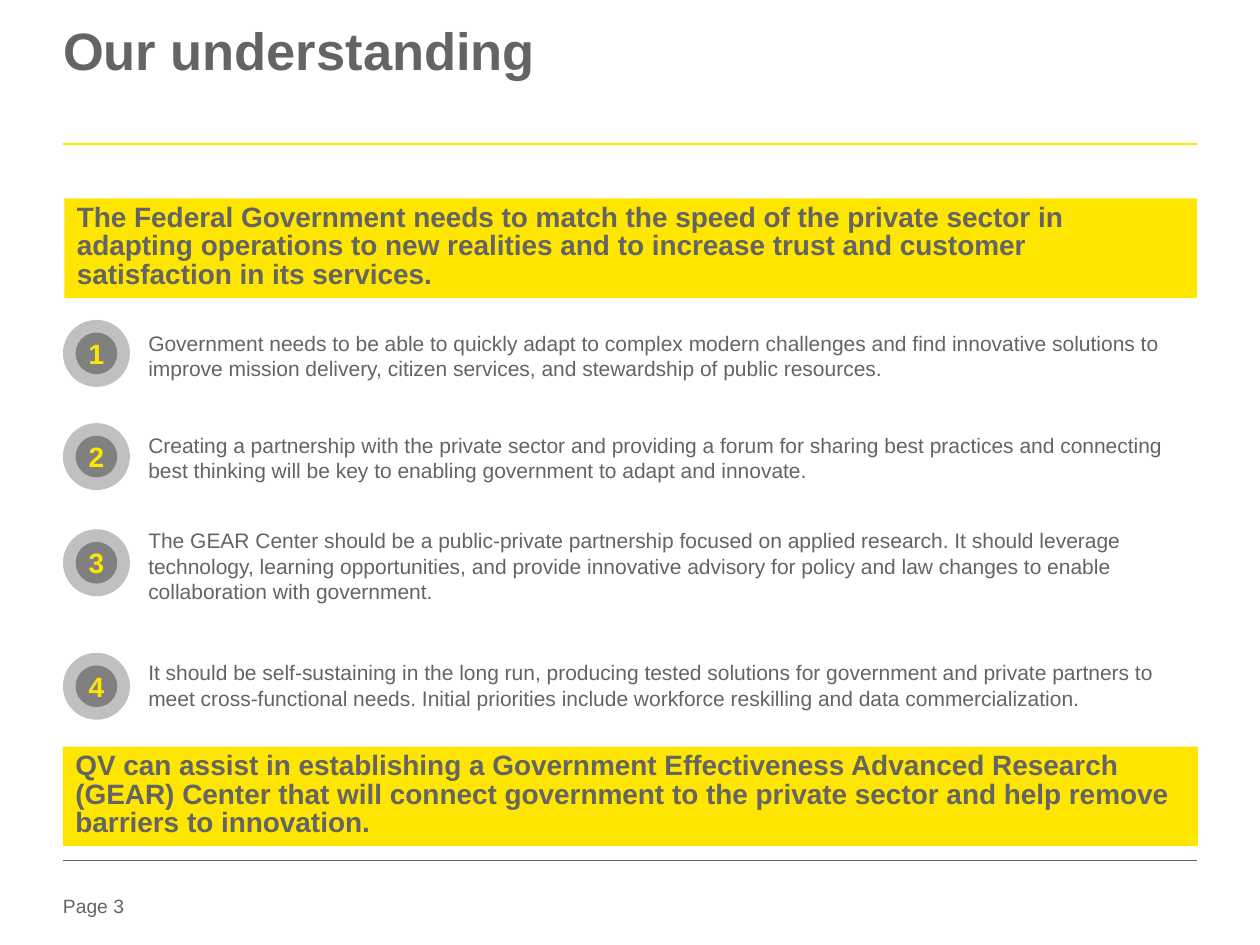
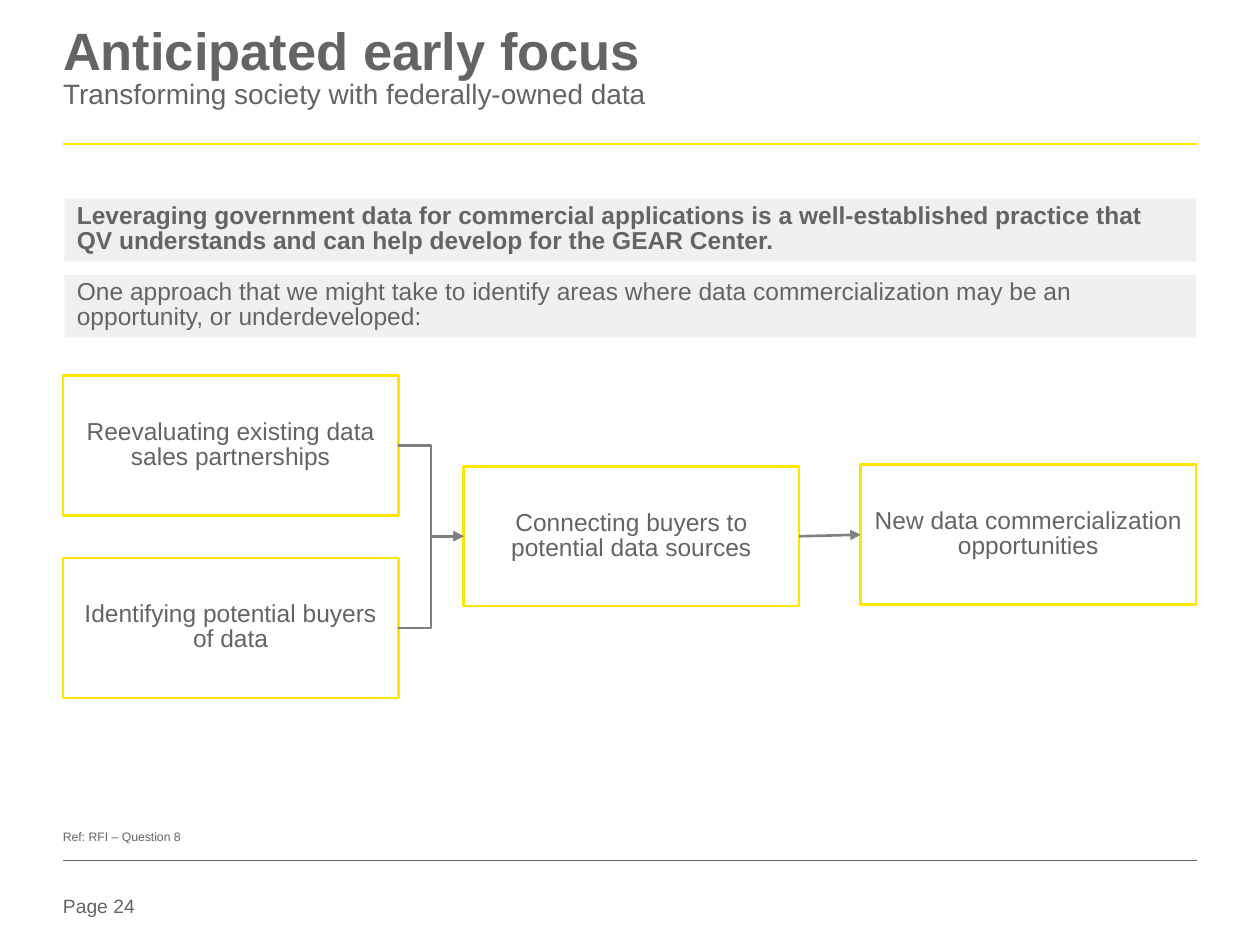
from pptx import Presentation
from pptx.dml.color import RGBColor
from pptx.enum.shapes import MSO_CONNECTOR, MSO_SHAPE
from pptx.enum.text import MSO_ANCHOR, MSO_AUTO_SIZE, PP_ALIGN
from pptx.oxml.ns import qn
from pptx.util import Cm, Pt
from lxml.etree import SubElement

FONT = "Arial"
COLORS = {
    "text": "646464",
    "yellow": "FFE600",
    "ring": "C0C0C0",
    "disc": "808080",
    "arrow": "808080",
    "panel": "F0F0F0",
}
MARGIN, CONTENT_W = 1.27, 22.86
RING, DISC = 1.35, 0.84
BOX_W, BOX_H = 6.76, 2.82

UNDERSTANDING = {
    "title": "Our understanding",
    "subtitle": "",
    "page": "Page 3",
    "bands": [
        (1.3, 4, 22.83, "The Federal Government needs to match the speed of the private sector in "
         "adapting operations to new realities and to increase trust and customer "
         "satisfaction in its services."),
        (1.27, 15.05, 22.88, "QV can assist in establishing a Government Effectiveness Advanced Research "
         "(GEAR) Center that will connect government to the private sector and help remove "
         "barriers to innovation."),
    ],
    "points": [
        (6.45, 6.53, 1.27, "Government needs to be able to quickly adapt to complex modern challenges and "
         "find innovative solutions to improve mission delivery, citizen services, and "
         "stewardship of public resources."),
        (8.53, 8.59, 1.27, "Creating a partnership with the private sector and providing a forum for "
         "sharing best practices and connecting best thinking will be key to enabling "
         "government to adapt and innovate."),
        (10.67, 10.52, 1.8, "The GEAR Center should be a public-private partnership focused on applied "
         "research. It should leverage technology, learning opportunities, and provide "
         "innovative advisory for policy and law changes to enable collaboration with government."),
        (13.16, 13.18, 1.27, "It should be self-sustaining in the long run, producing tested solutions for "
         "government and private partners to meet cross-functional needs. Initial priorities "
         "include workforce reskilling and data commercialization."),
    ],
}
EARLY_FOCUS = {
    "title": "Anticipated early focus",
    "subtitle": "Transforming society with federally-owned data",
    "page": "Page 24",
    "panels": [
        (4, True, "Leveraging government data for commercial applications is a well-established "
         "practice that QV understands and can help develop for the GEAR Center."),
        (5.54, False, "One approach that we might take to identify areas where data "
         "commercialization may be an opportunity, or underdeveloped:"),
    ],
    "boxes": {
        "connect": (9.35, 9.4, "Connecting buyers to potential data sources"),
        "identify": (1.27, 11.25, "Identifying potential buyers of data"),
        "reevaluate": (1.27, 7.57, "Reevaluating existing data sales partnerships"),
        "new": (17.35, 9.37, "New data commercialization opportunities"),
    },
    "arrows": [
        ("identify", "connect", MSO_CONNECTOR.ELBOW),
        ("reevaluate", "connect", MSO_CONNECTOR.ELBOW),
        ("connect", "new", MSO_CONNECTOR.STRAIGHT),
    ],
    "reference": "Ref: RFI – Question 8",
}


def color(name):
    return RGBColor.from_string(COLORS[name])


def add_run(p, text, size, bold=False, tone="text"):
    r = p.add_run()
    r.text = text
    r.font.name, r.font.size, r.font.bold = FONT, Pt(size), bold
    r.font.color.rgb = color(tone)


def write(sp, text, size, bold=False, tone="text", align=PP_ALIGN.LEFT,
          anchor=MSO_ANCHOR.TOP, inset=True, wrap=True, tight=False):
    tf = sp.text_frame
    tf.word_wrap, tf.vertical_anchor = wrap, anchor
    if not inset:
        tf.margin_left = tf.margin_right = tf.margin_top = tf.margin_bottom = 0
    p = tf.paragraphs[0]
    p.alignment = align
    if tight:
        p.line_spacing, p.space_after = 0.85, Pt(8)
    add_run(p, text, size, bold, tone)


def add_text(s, x, y, w, h, text, size, **style):
    write(s.shapes.add_textbox(Cm(x), Cm(y), Cm(w), Cm(h)), text, size, **style)


def add_shape(s, kind, x, y, w, h, fill=None, line=None):
    sp = s.shapes.add_shape(kind, Cm(x), Cm(y), Cm(w), Cm(h))
    sp.shadow.inherit = False
    if fill:
        sp.fill.solid()
        sp.fill.fore_color.rgb = color(fill)
    else:
        sp.fill.background()
    if line:
        sp.line.color.rgb = color(line)
        sp.line.width = Pt(1.5)
    else:
        sp.line.fill.background()
    return sp


def style_line(cx, tone, width):
    cx.line.color.rgb = color(tone)
    cx.line.width = Pt(width)
    SubElement(cx._element.spPr, qn("a:effectLst"))


def add_rule(s, y, tone, width):
    cx = s.shapes.add_connector(MSO_CONNECTOR.STRAIGHT, Cm(MARGIN), Cm(y),
                                Cm(MARGIN + CONTENT_W), Cm(y))
    style_line(cx, tone, width)


def add_arrow(s, kind, start, end):
    cx = s.shapes.add_connector(kind, 0, 0, 0, 0)
    cx.begin_connect(start, 3)
    cx.end_connect(end, 1)
    style_line(cx, "arrow", 1.5)
    SubElement(cx.line._get_or_add_ln(), qn("a:tailEnd"), type="triangle")


def add_slide(prs, content):
    s = prs.slides.add_slide(prs.slide_layouts[5])
    title = s.shapes.title
    title.left, title.top, title.width, title.height = Cm(MARGIN), Cm(0.56), Cm(CONTENT_W), Cm(2.39)
    title.text_frame.auto_size = MSO_AUTO_SIZE.NONE
    write(title, content["title"], 30, bold=True, inset=False)
    p = title.text_frame.paragraphs[0]
    p.line_spacing = 0.85
    if content["subtitle"]:
        p.add_line_break()
        add_run(p, content["subtitle"], 16)
    add_rule(s, 2.9, "yellow", 1.5)
    add_rule(s, 17.35, "text", 0.25)
    add_text(s, MARGIN, 18.03, 2.01, 0.56, content["page"], 11, inset=False)
    return s


def build_understanding(prs):
    s = add_slide(prs, UNDERSTANDING)
    for x, y, w, text in UNDERSTANDING["bands"]:
        band = add_shape(s, MSO_SHAPE.RECTANGLE, x, y, w, 2.01, fill="yellow")
        write(band, text, 16, bold=True, tight=True)
    gap = (RING - DISC) / 2
    for number, (ring_y, text_y, h, text) in enumerate(UNDERSTANDING["points"], 1):
        add_shape(s, MSO_SHAPE.OVAL, MARGIN, ring_y, RING, RING, fill="ring")
        disc = add_shape(s, MSO_SHAPE.OVAL, MARGIN + gap, ring_y + gap, DISC, DISC, fill="disc")
        write(disc, str(number), 16, bold=True, tone="yellow", align=PP_ALIGN.CENTER,
              anchor=MSO_ANCHOR.MIDDLE, inset=False, wrap=False)
        add_text(s, 2.74, text_y, 21.23, h, text, 12)


def build_early_focus(prs):
    s = add_slide(prs, EARLY_FOCUS)
    for y, bold, text in EARLY_FOCUS["panels"]:
        panel = add_shape(s, MSO_SHAPE.RECTANGLE, 1.3, y, 22.81, 1.27, fill="panel")
        write(panel, text, 14, bold=bold, tight=True)
    boxes = {}
    for name, (x, y, text) in EARLY_FOCUS["boxes"].items():
        boxes[name] = add_shape(s, MSO_SHAPE.RECTANGLE, x, y, BOX_W, BOX_H, line="yellow")
        write(boxes[name], text, 14, align=PP_ALIGN.CENTER, anchor=MSO_ANCHOR.MIDDLE, tight=True)
    for start, end, kind in EARLY_FOCUS["arrows"]:
        add_arrow(s, kind, boxes[start], boxes[end])
    add_text(s, MARGIN, 16.71, 4.04, 0.3, EARLY_FOCUS["reference"], 7,
             anchor=MSO_ANCHOR.BOTTOM, inset=False)


def main():
    prs = Presentation()
    prs.slide_width, prs.slide_height = Cm(25.4), Cm(19.05)
    build_understanding(prs)
    build_early_focus(prs)
    prs.save("out.pptx")


if __name__ == "__main__":
    main()
